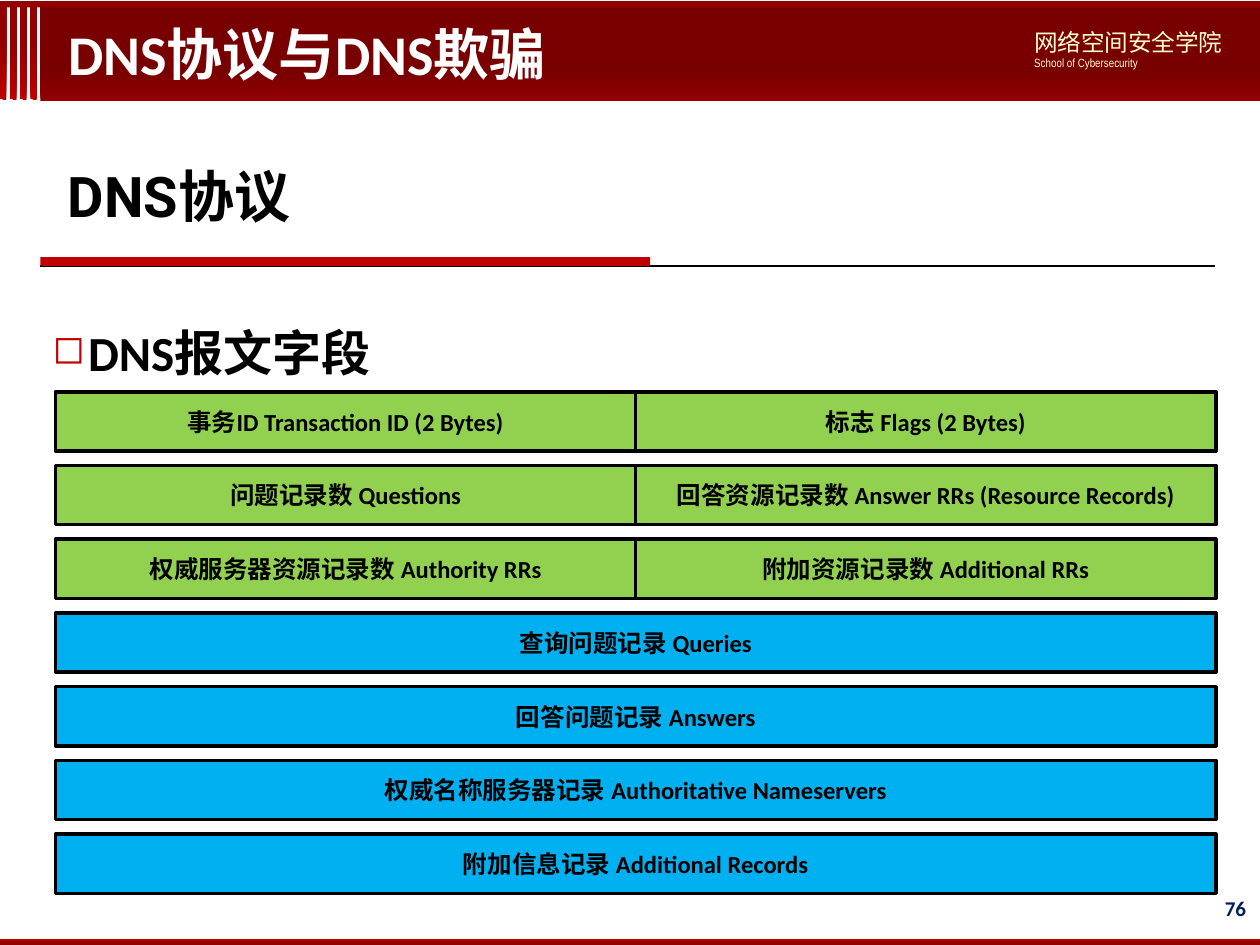
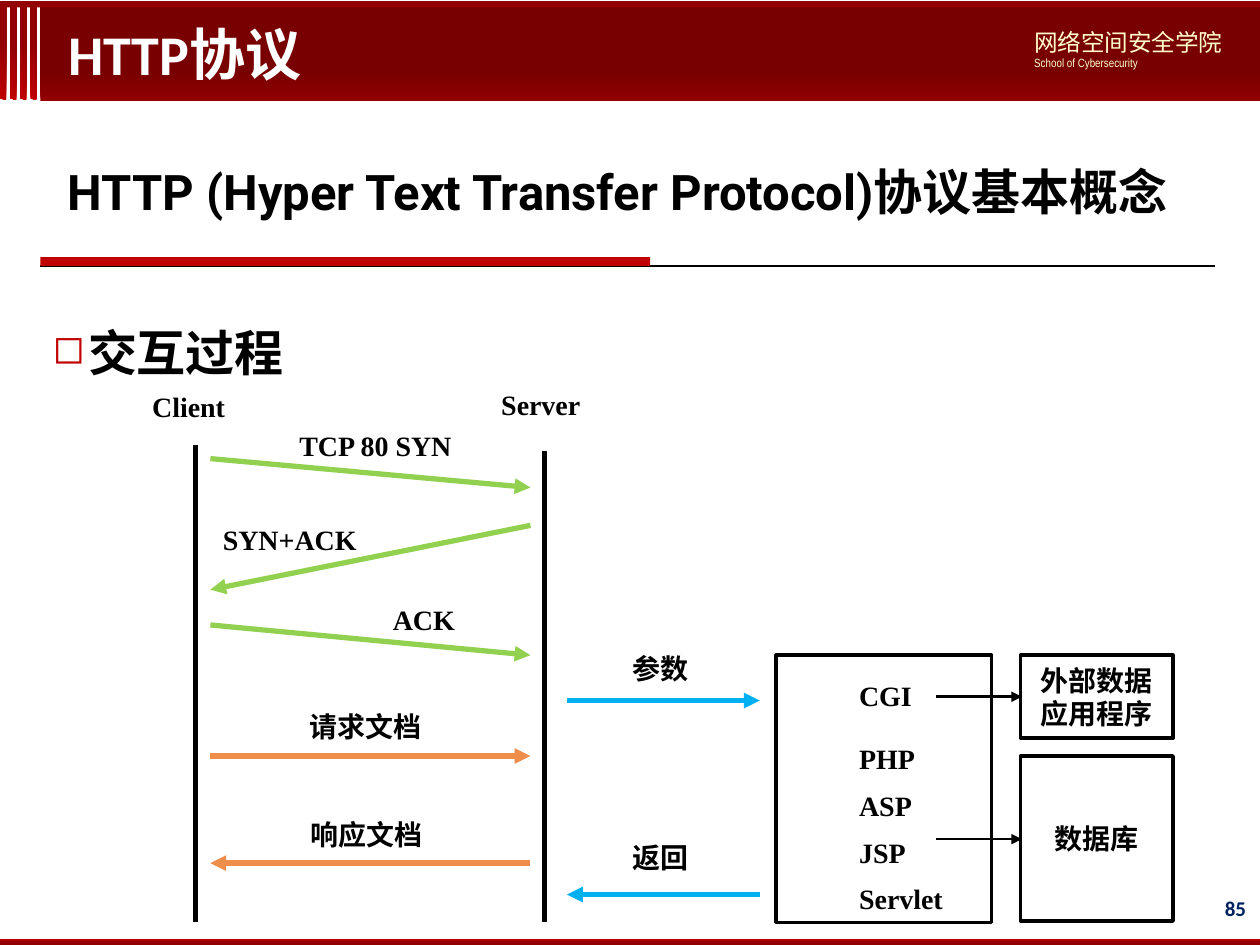
from lxml.etree import SubElement
from pptx import Presentation
from pptx.dml.color import RGBColor
from pptx.enum.shapes import MSO_CONNECTOR as CONNECTOR, MSO_SHAPE as SHAPE
from pptx.enum.text import MSO_ANCHOR as ANCHOR, MSO_AUTO_SIZE as AUTO_SIZE, PP_ALIGN as ALIGN
from pptx.oxml.ns import qn
from pptx.util import Inches, Pt

# Shared colours and text styles
BLACK, WHITE, RED, DARK_RED, DEEP_RED = "000000", "FFFFFF", "C00000", "920000", "780000"
GREEN, BLUE, ORANGE, NAVY, CREAM = "92D050", "00B0F0", "EF8D4B", "002060", "FFFFCD"
CJK_FONT = "Noto Sans CJK SC"


def text_style(size, name, color=BLACK, bold=True):
    return {"color": color, "font": {"size": Pt(size), "name": name, "bold": bold}}


TITLE = text_style(32, "Calibri", WHITE)
HEADING = text_style(32, "Roboto")
LONG_HEADING = text_style(28, "Roboto")
BULLET = text_style(28, "Calibri")
FIELD = text_style(14, "Calibri")
LABEL = text_style(16, "Times New Roman")
BOX_LABEL = text_style(16, CJK_FONT)
PAGE_NUMBER = text_style(12, "Calibri", NAVY)
SCHOOL = text_style(13.5, CJK_FONT, CREAM, False)
SCHOOL_ENGLISH = text_style(6.8, "Arial Narrow", CREAM, False)


def rgb(color):
    return RGBColor.from_string(color)


def inches(*lengths):
    return [Inches(length) for length in lengths]


# Text
def write_text(text_frame, lines, align=ALIGN.LEFT, anchor=ANCHOR.TOP):
    """Write (text, style) pairs, one paragraph each."""
    formats = {"word_wrap": True, "auto_size": AUTO_SIZE.NONE, "vertical_anchor": anchor}
    for name, value in formats.items():
        setattr(text_frame, name, value)
    for index, (text, style) in enumerate(lines):
        paragraph = text_frame.add_paragraph() if index else text_frame.paragraphs[0]
        paragraph.alignment = align
        run = paragraph.add_run()
        run.text = text
        for name, value in style["font"].items():
            setattr(run.font, name, value)
        run.font.color.rgb = rgb(style["color"])
        SubElement(run._r.get_or_add_rPr(), qn("a:ea"), typeface=CJK_FONT)


def add_text(slide, box, lines, **layout):
    text_box = slide.shapes.add_textbox(*inches(*box))
    write_text(text_box.text_frame, lines, **layout)
    return text_box


def add_bullet(slide, text):
    text_box = add_text(slide, (0.32, 2.42, 9.31, 0.75), [(text, BULLET)])
    paragraph = text_box.text_frame.paragraphs[0]
    properties = paragraph._p.get_or_add_pPr()
    properties.set("marL", str(Inches(0.28)))
    properties.set("indent", str(-Inches(0.28)))
    bullet_color = SubElement(properties, qn("a:buClr"))
    SubElement(bullet_color, qn("a:srgbClr"), val=RED)
    SubElement(properties, qn("a:buSzPct"), val="80000")
    SubElement(properties, qn("a:buChar"), char="◻")
    paragraph.line_spacing = 1.2


# Shapes and lines
def add_box(slide, box, fill=None, outline=None, lines=()):
    shape = slide.shapes.add_shape(SHAPE.RECTANGLE, *inches(*box))
    shape.shadow.inherit = False
    if fill:
        shape.fill.solid()
        shape.fill.fore_color.rgb = rgb(fill)
    else:
        shape.fill.background()
    if outline:
        shape.line.color.rgb = rgb(outline)
        shape.line.width = Pt(2)
    else:
        shape.line.fill.background()
    if lines:
        write_text(shape.text_frame, lines, ALIGN.CENTER, ANCHOR.MIDDLE)
    return shape


def add_gradient_box(slide, box, stops, angle):
    fill = add_box(slide, box).fill
    fill.gradient()
    fill.gradient_angle = angle
    for stop, (position, color) in zip(fill.gradient_stops, stops):
        stop.position = position
        stop.color.rgb = rgb(color)


def add_line(slide, start, end, color=BLACK, width=3, arrow=False):
    connector = slide.shapes.add_connector(CONNECTOR.STRAIGHT, *inches(*start, *end))
    connector.line.color.rgb = rgb(color)
    connector.line.width = Pt(width)
    properties = connector._element.spPr
    if arrow:
        SubElement(properties.find(qn("a:ln")), qn("a:tailEnd"), type="triangle")
    SubElement(properties, qn("a:effectLst"))


# Frame shared by the slides
def add_frame(slide, page):
    add_gradient_box(slide, (0.32, 0.06, 9.68, 0.74), [(0, DARK_RED), (0.32, DEEP_RED)], 90)
    for stripe in range(4):
        add_gradient_box(slide, (0.08 * stripe, 0.05, 0.05, 0.74),
                         [(0, RED), (0.62, DARK_RED)], 45)
    add_gradient_box(slide, (0, 7.45, 10, 0.05), [(0.1, RED), (0.54, DARK_RED)], 270)
    add_box(slide, (0, 0.01, 10, 0.05), DARK_RED)
    add_text(slide, (8.11, 0.17, 1.81, 0.44),
             [("网络空间安全学院", SCHOOL), ("School of Cybersecurity", SCHOOL_ENGLISH)])
    number = add_text(slide, (7.63, 7.01, 2.33, 0.4), [(page, PAGE_NUMBER)],
                      align=ALIGN.RIGHT, anchor=ANCHOR.MIDDLE)
    number.text_frame.margin_left = number.text_frame.margin_right = Inches(0.07)
    add_line(slide, (0.32, 2.11), (9.64, 2.11), width=1.5)
    add_box(slide, (0.32, 2.04, 4.84, 0.07), RED)


def add_slide(presentation, title, heading, heading_style, bullet, page):
    slide = presentation.slides.add_slide(presentation.slide_layouts[5])
    add_frame(slide, page)
    placeholder = slide.shapes.title
    position = dict(zip(("left", "top", "width", "height"), inches(0.44, 0.05, 6.77, 0.74)))
    for name, value in position.items():
        setattr(placeholder, name, value)
    write_text(placeholder.text_frame, [(title, TITLE)], anchor=ANCHOR.MIDDLE)
    # Bring the title in front of the band
    slide.shapes._spTree.append(placeholder._element)
    add_text(slide, (0.44, 1.23, 9.19, 0.75), [(heading, heading_style)])
    add_bullet(slide, bullet)
    return slide


# DNS message fields
def add_message_fields(slide):
    rows = [
        ("事务ID Transaction ID (2 Bytes)", "标志 Flags (2 Bytes)"),
        ("问题记录数 Questions", "回答资源记录数 Answer RRs (Resource Records)"),
        ("权威服务器资源记录数 Authority RRs", "附加资源记录数 Additional RRs"),
        ("查询问题记录 Queries",),
        ("回答问题记录 Answers",),
        ("权威名称服务器记录 Authoritative Nameservers",),
        ("附加信息记录 Additional Records",),
    ]
    left, top, total_width, row_step = 0.44, 3.11, 9.21, 0.585
    for row, fields in enumerate(rows):
        width = total_width / len(fields)
        color = GREEN if len(fields) == 2 else BLUE
        for column, field in enumerate(fields):
            box = (left + column * width, top + row * row_step, width, 0.47)
            add_box(slide, box, color, BLACK, [(field, FIELD)])


# HTTP exchange between client, server and back end
def add_exchange(slide):
    client, server = 1.67, 4.21
    server_out, backend_in = 4.5, 6.03
    for x, top in ((1.55, 3.53), (4.32, 3.58)):
        add_line(slide, (x, top), (x, 7.32))

    messages = [
        (client, 3.64, server, 3.87, GREEN),
        (server, 4.17, client, 4.68, GREEN),
        (client, 4.96, server, 5.2, GREEN),
        (client, 6, server, 6, ORANGE),
        (server, 6.85, client, 6.85, ORANGE),
        (server_out, 5.56, backend_in, 5.56, BLUE),
        (backend_in, 7.1, server_out, 7.1, BLUE),
    ]
    for x1, y1, x2, y2, color in messages:
        add_line(slide, (x1, y1), (x2, y2), color, arrow=True)

    # Back-end boxes
    add_box(slide, (6.16, 5.2, 1.71, 2.12), outline=BLACK)
    add_box(slide, (8.1, 5.2, 1.21, 0.66), outline=BLACK,
            lines=[("外部数据", BOX_LABEL), ("应用程序", BOX_LABEL)])
    add_box(slide, (8.1, 6, 1.21, 1.31), outline=BLACK, lines=[("数据库", BOX_LABEL)])
    for y in (5.53, 6.66):
        add_line(slide, (7.43, y), (8.11, y), width=1.5, arrow=True)

    labels = [
        ("Client", 1.11, 3.04, 0.87), ("Server", 3.88, 3.03, 0.87),
        ("SYN+ACK", 1.67, 4.1, 1.35), ("ACK", 3.02, 4.73, 0.8),
        ("请求文档", 2.36, 5.58, 1.17), ("响应文档", 2.37, 6.44, 1.17),
        ("参数", 4.92, 5.12, 0.7), ("返回", 4.92, 6.62, 0.7),
        ("CGI", 6.72, 5.34, 0.91),
    ]
    scripts = ("PHP", "ASP", "JSP", "Servlet")
    labels += [(name, 6.72, 5.84 + 0.37 * row, 0.91) for row, name in enumerate(scripts)]
    for text, left, top, width in labels:
        add_text(slide, (left, top, width, 0.37), [(text, LABEL)])
    add_text(slide, (2.23, 3.35, 1.5, 0.37), [("TCP 80 SYN", LABEL)], align=ALIGN.CENTER)


def main():
    presentation = Presentation()
    presentation.slide_width, presentation.slide_height = inches(10, 7.5)
    dns_slide = add_slide(presentation, "DNS协议与DNS欺骗", "DNS协议", HEADING,
                          "DNS报文字段", "76")
    add_message_fields(dns_slide)
    http_slide = add_slide(presentation, "HTTP协议",
                           "HTTP (Hyper Text Transfer Protocol)协议基本概念", LONG_HEADING,
                           "交互过程", "85")
    add_exchange(http_slide)
    presentation.save("out.pptx")


if __name__ == "__main__":
    main()
